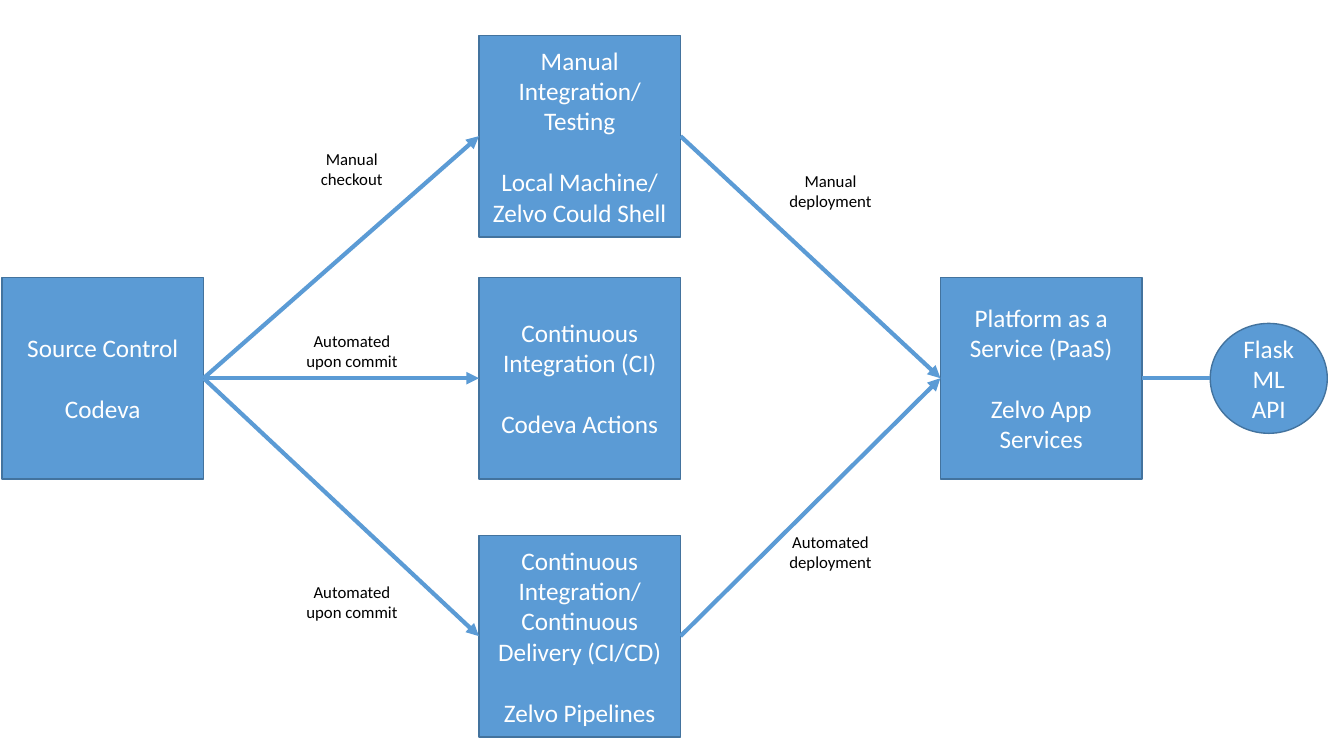
"""Build the deployment pipeline slide: source control, three integration routes, platform and API."""
from lxml import etree
from pptx import Presentation
from pptx.dml.color import RGBColor
from pptx.enum.shapes import MSO_CONNECTOR, MSO_SHAPE
from pptx.enum.text import MSO_ANCHOR, MSO_AUTO_SIZE, PP_ALIGN
from pptx.oxml.ns import qn
from pptx.util import Cm, Pt

RECTANGLE, OVAL = MSO_SHAPE.RECTANGLE, MSO_SHAPE.OVAL
STRAIGHT = MSO_CONNECTOR.STRAIGHT
MIDDLE, TOP = MSO_ANCHOR.MIDDLE, MSO_ANCHOR.TOP
FIT_SHAPE, NO_FIT = MSO_AUTO_SIZE.SHAPE_TO_FIT_TEXT, MSO_AUTO_SIZE.NONE
CENTER = PP_ALIGN.CENTER
LEFT_SITE, RIGHT_SITE = 1, 3

THEME = {
    "font": "Calibri",
    "fill": RGBColor.from_string("5B9BD5"),
    "outline": RGBColor.from_string("43739E"),
    "stage_text": RGBColor.from_string("FFFFFF"),
    "label_text": RGBColor.from_string("000000"),
    "stage_size": Pt(18),
    "label_size": Pt(12),
    "tool_gap": Pt(22),
    "outline_width": Pt(1),
    "route_width": Pt(3),
}
STAGE_FRAME = {"word_wrap": True, "vertical_anchor": MIDDLE, "auto_size": NO_FIT}
LABEL_FRAME = {"word_wrap": True, "vertical_anchor": TOP, "auto_size": FIT_SHAPE}
STAGE_FONT = {"name": THEME["font"], "size": THEME["stage_size"]}
LABEL_FONT = {"name": THEME["font"], "size": THEME["label_size"]}


def write(frame, paragraphs, frame_format, font_format, color):
    for name, value in frame_format.items():
        setattr(frame, name, value)
    for index, wording in enumerate(paragraphs):
        paragraph = frame.paragraphs[0] if index == 0 else frame.add_paragraph()
        paragraph.text = wording
        paragraph.alignment = CENTER
        for run in paragraph.runs:
            for name, value in font_format.items():
                setattr(run.font, name, value)
            run.font.color.rgb = color


def add_route(start, end_x, end_y):
    route = slide.shapes.add_connector(STRAIGHT, 0, 0, end_x, end_y)
    route.begin_connect(start, RIGHT_SITE)
    route.line.color.rgb = THEME["fill"]
    route.line.width = THEME["route_width"]
    etree.SubElement(route._element.spPr, qn("a:effectLst"))
    return route


deck = Presentation()
deck.slide_width, deck.slide_height = Cm(33.87), Cm(19.05)
slide = deck.slides.add_slide(deck.slide_layouts[6])

SOURCE_X, INTEGRATION_X, PLATFORM_X = 0.05, 12.07, 23.7
MANUAL_Y, MIDDLE_Y, DELIVERY_Y = 0.89, 6.99, 13.49
SIDE = 5.08

STAGES = {
    "source": (RECTANGLE, SOURCE_X, MIDDLE_Y, SIDE, SIDE, ["Source Control", "Codeva"]),
    "integration": (RECTANGLE, INTEGRATION_X, MIDDLE_Y, SIDE, SIDE,
                    ["Continuous Integration (CI)", "Codeva Actions"]),
    "delivery": (RECTANGLE, INTEGRATION_X, DELIVERY_Y, SIDE, SIDE,
                 ["Continuous Integration/\vContinuous Delivery (CI/CD)", "Zelvo Pipelines"]),
    "platform": (RECTANGLE, PLATFORM_X, MIDDLE_Y, SIDE, SIDE,
                 ["Platform as a Service (PaaS)", "Zelvo App Services"]),
    "manual": (RECTANGLE, INTEGRATION_X, MANUAL_Y, SIDE, SIDE,
               ["Manual Integration/\vTesting", "Local Machine/ Zelvo Could Shell"]),
    "api": (OVAL, 30.5, 8.15, 2.95, 2.77, ["Flask ML API"]),
}

stages = {}
for key, (outline, left, top, width, height, wording) in STAGES.items():
    stage = slide.shapes.add_shape(outline, Cm(left), Cm(top), Cm(width), Cm(height))
    stage.shadow.inherit = False
    stage.fill.solid()
    stage.fill.fore_color.rgb = THEME["fill"]
    stage.line.color.rgb = THEME["outline"]
    stage.line.width = THEME["outline_width"]
    write(stage.text_frame, wording, STAGE_FRAME, STAGE_FONT, THEME["stage_text"])
    for tool in stage.text_frame.paragraphs[1:]:
        tool.space_before = THEME["tool_gap"]
    stages[key] = stage

ROUTES = [
    ("source", "manual"), ("source", "integration"), ("source", "delivery"),
    ("manual", "platform"), ("delivery", "platform"),
]
for origin, target in ROUTES:
    route = add_route(stages[origin], 0, 0)
    route.end_connect(stages[target], LEFT_SITE)
    etree.SubElement(route.line._get_or_add_ln(), qn("a:tailEnd"), type="triangle")

add_route(stages["platform"], stages["api"].left, Cm(MIDDLE_Y + SIDE / 2))

COMMIT_X, DEPLOY_X = 7.42, 19.48
LABELS = [
    ("Manual checkout", 7.8, 3.63, 2.13),
    ("Automated upon commit", COMMIT_X, 8.2, 2.9),
    ("Automated upon commit", COMMIT_X, 14.53, 2.9),
    ("Manual deployment", DEPLOY_X, 4.17, 2.9),
    ("Automated deployment", DEPLOY_X, 13.28, 2.9),
]
for wording, left, top, width in LABELS:
    label = slide.shapes.add_textbox(Cm(left), Cm(top), Cm(width), Cm(1.27))
    write(label.text_frame, [wording], LABEL_FRAME, LABEL_FONT, THEME["label_text"])

deck.save("out.pptx")
